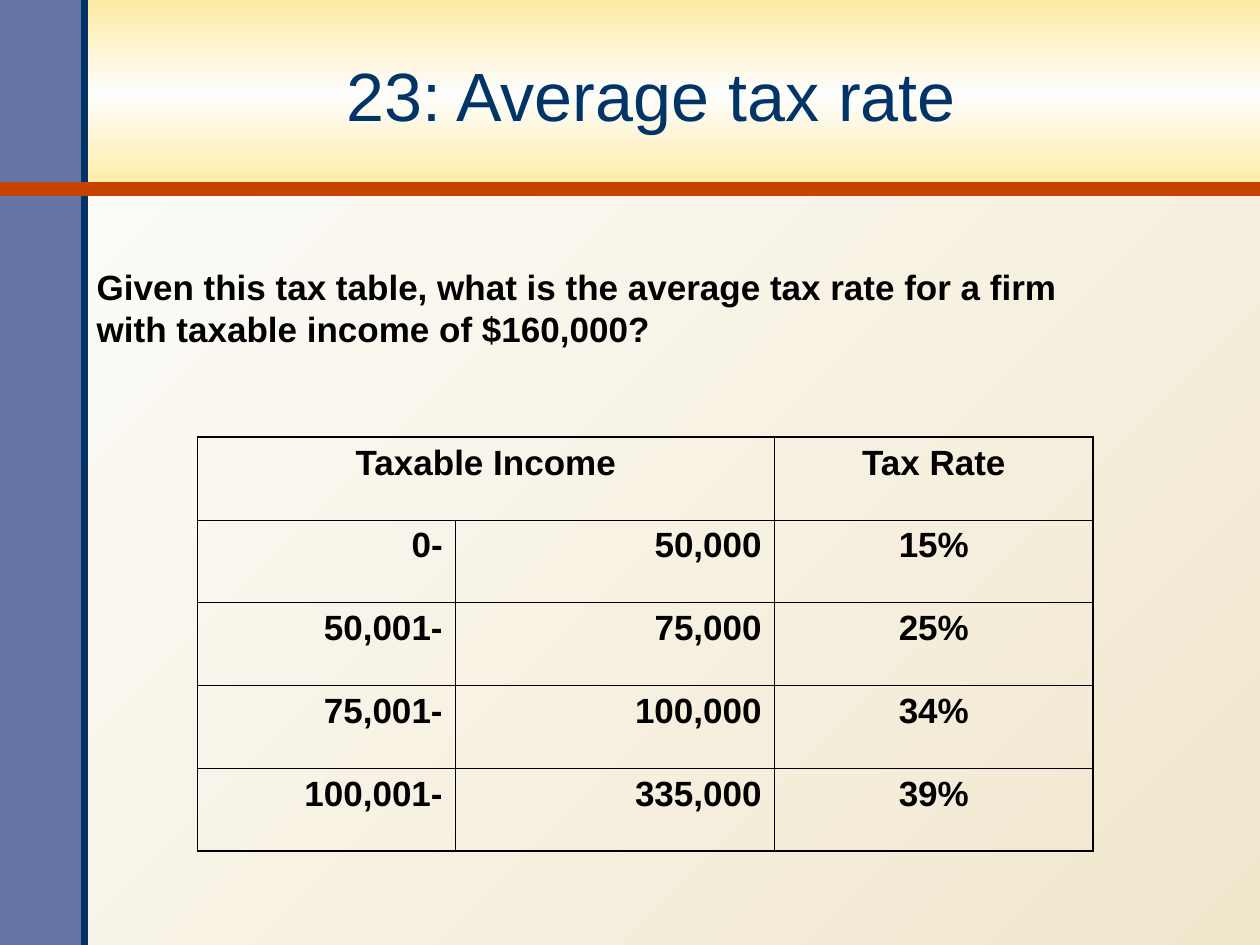
from lxml import etree
from pptx import Presentation
from pptx import util as u
from pptx.dml.color import RGBColor
from pptx.enum import shapes, text
from pptx.oxml.ns import qn

Cm, Pt = u.Cm, u.Pt
Al = text.PP_ALIGN
COLS = {"navy": "003366", "rust": "C84300", "slate": "6475A6", "black": "000000",
        "gold": "FDEBA1", "white": "FEFEFE", "sand": "F1E7CD"}


def write(frame, words, size=20, color="black", bold=True, align=Al.LEFT):
    frame.word_wrap = True
    para = frame.paragraphs[0]
    para.alignment = align
    run = para.add_run()
    run.text = words
    font = run.font
    font.name, font.size, font.bold = "Arial", Pt(size), bold
    font.color.rgb = RGBColor.from_string(COLS[color])


def blend(fill, root, names, angle):
    fill.gradient()
    fill.gradient_angle = angle
    stops = root.find(".//" + qn("a:gsLst"))
    for stop in list(stops):
        stops.remove(stop)
    for i, name in enumerate(names):
        stop = etree.SubElement(stops, qn("a:gs"), pos=str(100000 * i // (len(names) - 1)))
        etree.SubElement(stop, qn("a:srgbClr"), val=COLS[name])


deck = Presentation()
deck.slide_width, deck.slide_height = wide, high = Cm(25.4), Cm(19.05)
slide = deck.slides.add_slide(deck.slide_layouts[6])
blend(slide.background.fill, slide._element, ["sand", "white"], 135)

# Title band and side bar
side, base = Cm(1.7), Cm(3.81)
band = slide.shapes.add_shape(shapes.MSO_SHAPE.RECTANGLE, 0, 0, wide, base)
blend(band.fill, band._element, ["gold", "white", "gold"], 270)
bar = slide.shapes.add_shape(shapes.MSO_SHAPE.RECTANGLE, 0, 0, side, high)
bar.fill.solid()
bar.fill.fore_color.rgb = RGBColor.from_string(COLS["slate"])
for block in (band, bar):
    block.line.fill.background()
    block.shadow.inherit = False

# Rules along the bar and under the band
for ends, color, width in [((side, high, side, 0), "navy", 4),
                           ((0, base, wide, base), "rust", 8)]:
    rule = slide.shapes.add_connector(shapes.MSO_CONNECTOR.STRAIGHT, *ends)
    rule.line.color.rgb = RGBColor.from_string(COLS[color])
    rule.line.width = Pt(width)
    etree.SubElement(rule._element.spPr, qn("a:effectLst"))

# Title and question
title = slide.shapes.add_textbox(Cm(1.65), Cm(0.38), Cm(22.96), Cm(3.05)).text_frame
title.vertical_anchor = text.MSO_ANCHOR.MIDDLE
write(title, "23: Average tax rate", size=39, color="navy", bold=False, align=Al.CENTER)
ask = slide.shapes.add_textbox(side, Cm(4.01), Cm(20.35), Cm(3.38)).text_frame
ask.margin_top = Cm(1.35)
write(ask, "Given this tax table, what is the average tax rate for a firm "
           "with taxable income of $160,000?")

# Tax table
rows = [("Taxable Income", "", "Tax Rate"),
        ("0-", "50,000", "15%"),
        ("50,001-", "75,000", "25%"),
        ("75,001-", "100,000", "34%"),
        ("100,001-", "335,000", "39%")]
last = len(rows) - 1
grid = slide.shapes.add_table(len(rows), 3, Cm(3.98), Cm(8.81), Cm(18.06), Cm(8.35)).table
grid.first_row = grid.horz_banding = False
for col, width in zip(grid.columns, (5.2, 6.43, 6.43)):
    col.width = Cm(width)
for row in grid.rows:
    row.height = Cm(1.67)
grid.cell(0, 0).merge(grid.cell(0, 1))

for r, row in enumerate(rows):
    for c, words in enumerate(row):
        cell = grid.cell(r, c)
        # Heavier border on the outer edges
        outer = {"L": c == 0, "R": c == 2, "T": r == 0, "B": r == last}
        props = cell._tc.get_or_add_tcPr()
        for edge, thick in outer.items():
            line = etree.SubElement(props, qn("a:ln" + edge), w=str(Pt(1.08 if thick else 0.45)))
            paint = etree.SubElement(line, qn("a:solidFill"))
            etree.SubElement(paint, qn("a:srgbClr"), val=COLS["black"])
        cell.fill.background()
        if words:
            write(cell.text_frame, words, align=Al.CENTER if r == 0 or c == 2 else Al.RIGHT)

deck.save("out.pptx")
